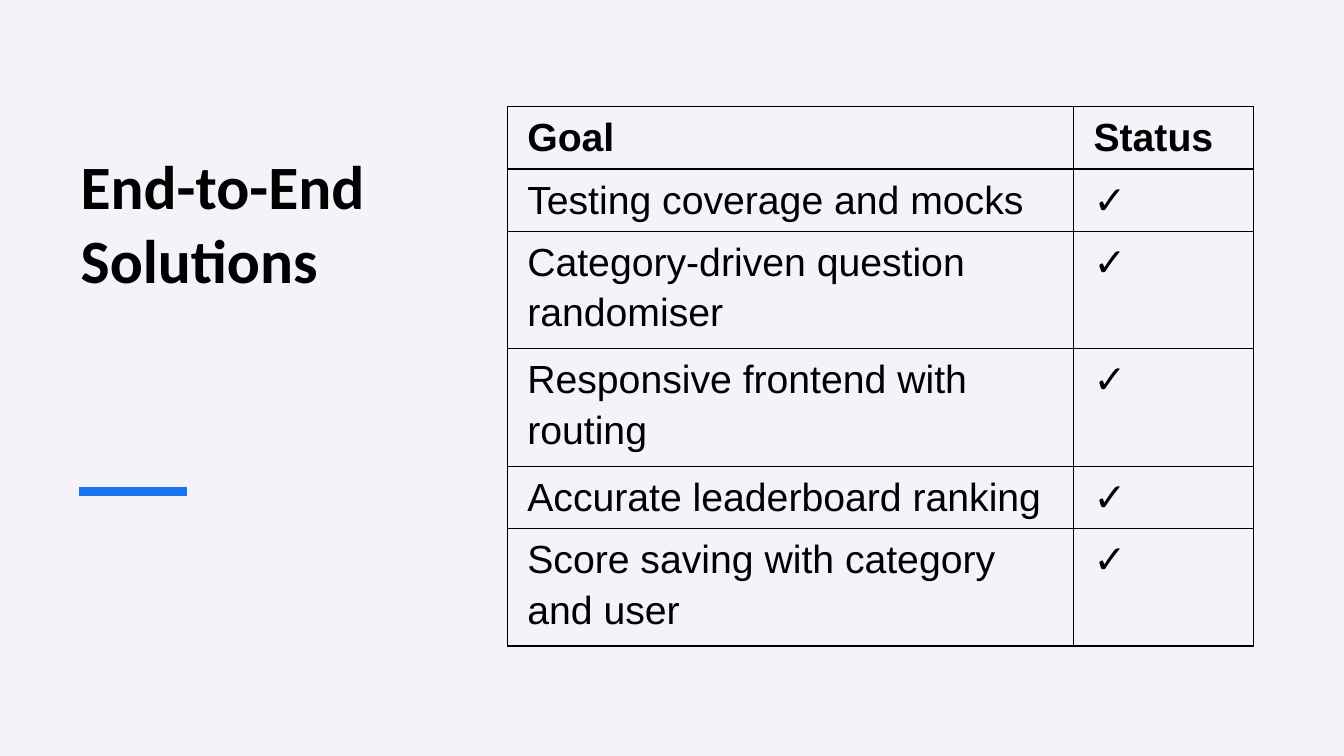
from lxml.etree import SubElement
from pptx import Presentation
from pptx.dml.color import RGBColor
from pptx.enum.shapes import MSO_CONNECTOR
from pptx.enum.text import MSO_ANCHOR, MSO_AUTO_SIZE, PP_ALIGN
from pptx.oxml.ns import qn
from pptx.util import Cm, Pt

COLOURS = {"page": "F5F2F9", "ink": "000000", "accent": "1973EB"}
GOALS = [
    "Testing coverage and mocks",
    "Category-driven question randomiser",
    "Responsive frontend with routing",
    "Accurate leaderboard ranking",
    "Score saving with category and user",
]
ROWS = [("Goal", "Status")] + [(goal, "✓") for goal in GOALS]
SINGLE_HEIGHT, DOUBLE_HEIGHT = 1.57, 2.96
LONGEST_SINGLE_LINE = 28


def colour(name):
    return RGBColor.from_string(COLOURS[name])


def write_text(frame, text, font="Arial", size=28, bold=False, spacing=1.0):
    para = frame.paragraphs[0]
    para.alignment = PP_ALIGN.LEFT
    para.line_spacing = spacing
    span = para.add_run()
    span.text = text
    span.font.name = font
    span.font.size = Pt(size)
    span.font.bold = bold
    span.font.color.rgb = colour("ink")


def add_heading(page, left, top, width, height):
    title = page.shapes.title
    title.left, title.top = Cm(left), Cm(top)
    title.width, title.height = Cm(width), Cm(height)
    frame = title.text_frame
    frame.word_wrap = True
    frame.auto_size = MSO_AUTO_SIZE.NONE
    frame.vertical_anchor = MSO_ANCHOR.TOP
    write_text(frame, "End-to-End Solutions", font="Calibri", size=44, bold=True)


def add_accent(page, left, top, width):
    rule = page.shapes.add_connector(
        MSO_CONNECTOR.STRAIGHT, Cm(left), Cm(top), Cm(left + width), Cm(top))
    rule.line.color.rgb = colour("accent")
    rule.line.width = Pt(6)
    SubElement(rule._element.spPr, qn("a:effectLst"))


def add_borders(cell):
    properties = cell._tc.get_or_add_tcPr()
    for side in ("L", "R", "T", "B"):
        border = SubElement(properties, qn(f"a:ln{side}"), w=str(Pt(1)))
        fill = SubElement(border, qn("a:solidFill"))
        SubElement(fill, qn("a:srgbClr"), val=COLOURS["ink"])


def add_goal_table(page, left, top, widths):
    heights = [SINGLE_HEIGHT if len(goal) <= LONGEST_SINGLE_LINE else DOUBLE_HEIGHT
               for goal, status in ROWS]
    table = page.shapes.add_table(
        len(ROWS), len(widths), Cm(left), Cm(top),
        Cm(sum(widths)), Cm(sum(heights))).table
    table.first_row = table.horz_banding = False
    for column, width in zip(table.columns, widths):
        column.width = Cm(width)
    for row_index, (row, height) in enumerate(zip(table.rows, heights)):
        row.height = Cm(height)
        for cell, text in zip(row.cells, ROWS[row_index]):
            cell.margin_left = cell.margin_right = Cm(0.51)
            cell.margin_top, cell.margin_bottom = Cm(0.08), Cm(0)
            add_borders(cell)
            cell.fill.background()
            write_text(cell.text_frame, text, bold=row_index == 0, spacing=1.15)


def main():
    deck = Presentation()
    deck.slide_width, deck.slide_height = Cm(33.87), Cm(19.05)
    page = deck.slides.add_slide(deck.slide_layouts[5])
    page.background.fill.solid()
    page.background.fill.fore_color.rgb = colour("page")
    add_heading(page, 1.78, 3.61, 9.14, 7.7)
    add_accent(page, 1.98, 12.38, 2.72)
    add_goal_table(page, 12.78, 2.69, (14.27, 4.54))
    deck.save("out.pptx")


if __name__ == "__main__":
    main()
